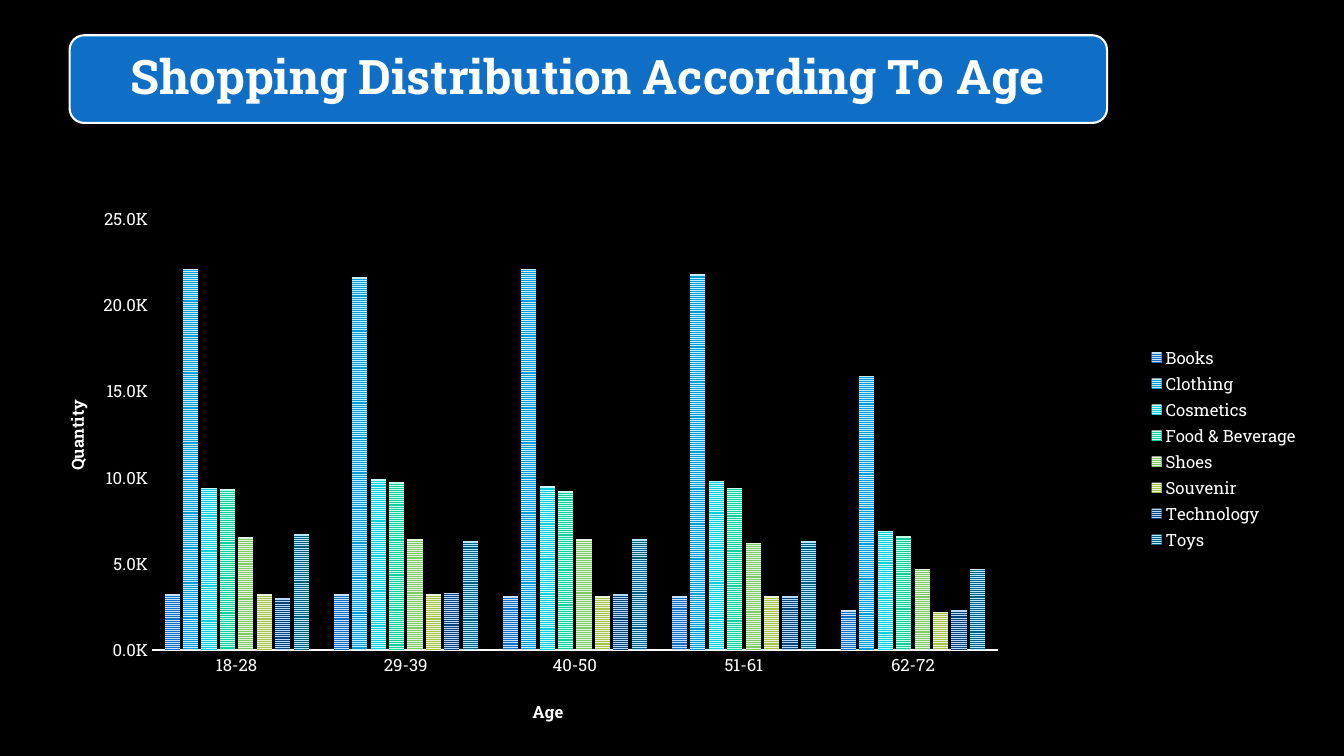
"""Build a slide with a clustered column chart of shopping quantity by age group."""
from lxml.etree import SubElement
from pptx import Presentation
from pptx.chart.data import CategoryChartData
from pptx.dml.color import RGBColor
from pptx.enum.chart import XL_CHART_TYPE as ChartType, XL_LEGEND_POSITION as LegendPosition
from pptx.enum.chart import XL_TICK_MARK as TickMark
from pptx.enum.dml import MSO_PATTERN as Pattern
from pptx.enum.shapes import MSO_SHAPE as Shape
from pptx.enum.text import MSO_ANCHOR as Anchor, MSO_AUTO_SIZE as AutoSize, PP_ALIGN as Align
from pptx.oxml import parse_xml
from pptx.oxml.ns import qn
from pptx.util import Inches, Pt

FONT = "Roboto Slab"
BLACK = RGBColor(0x00, 0x00, 0x00)
WHITE = RGBColor(0xFF, 0xFF, 0xFF)
BLUE = RGBColor(0x0F, 0x6F, 0xC6)
AGES = ["18-28", "29-39", "40-50", "51-61", "62-72"]
PRODUCTS = [
    ("Books", [3200, 3200, 3100, 3100, 2300], BLUE, RGBColor(0xC8, 0xE3, 0xFB)),
    ("Clothing", [22100, 21600, 22100, 21800, 15900],
     RGBColor(0x00, 0x9D, 0xD9), RGBColor(0xC4, 0xEF, 0xFF)),
    ("Cosmetics", [9400, 9900, 9500, 9800, 6900],
     RGBColor(0x0B, 0xD0, 0xD9), RGBColor(0xC9, 0xFA, 0xFC)),
    ("Food & Beverage", [9300, 9700, 9200, 9400, 6600],
     RGBColor(0x10, 0xCF, 0x9B), RGBColor(0xCA, 0xFB, 0xED)),
    ("Shoes", [6500, 6400, 6400, 6200, 4700],
     RGBColor(0x7C, 0xCA, 0x62), RGBColor(0xE5, 0xF4, 0xE0)),
    ("Souvenir", [3200, 3200, 3100, 3100, 2200],
     RGBColor(0xA5, 0xC2, 0x49), RGBColor(0xED, 0xF3, 0xDB)),
    ("Technology", [3000, 3300, 3200, 3100, 2300],
     RGBColor(0x09, 0x43, 0x77), RGBColor(0xB8, 0xDA, 0xFA)),
    ("Toys", [6700, 6300, 6400, 6300, 4700],
     RGBColor(0x00, 0x5E, 0x82), RGBColor(0xB3, 0xEA, 0xFF)),
]


def style_font(font, size, bold=False):
    font.name = FONT
    font.size = Pt(size)
    font.bold = bold
    font.color.rgb = WHITE


def set_layout(parent, index, **values):
    for old in parent.findall(qn("c:layout")):
        parent.remove(old)
    layout = parse_xml(
        '<c:layout xmlns:c="http://schemas.openxmlformats.org/drawingml/2006/chart"/>')
    manual = SubElement(layout, qn("c:manualLayout"))
    for tag, value in values.items():
        SubElement(manual, qn(f"c:{tag}")).set("val", str(value))
    parent.insert(index, layout)


deck = Presentation()
deck.slide_width = Inches(13.33)
deck.slide_height = Inches(7.5)
page = deck.slides.add_slide(deck.slide_layouts[5])
page.background.fill.solid()
page.background.fill.fore_color.rgb = BLACK

banner = page.shapes.add_shape(
    Shape.ROUNDED_RECTANGLE, Inches(0.69), Inches(0.35), Inches(10.29), Inches(0.87))
banner.shadow.inherit = False
banner.fill.solid()
banner.fill.fore_color.rgb = BLUE
banner.line.color.rgb = WHITE
banner.line.width = Pt(1.5)

title = page.shapes.title
title.element.addprevious(banner.element)
title.left, title.top = Inches(0.73), Inches(0.39)
title.width, title.height = Inches(10.2), Inches(0.79)
frame = title.text_frame
frame.word_wrap = True
frame.auto_size = AutoSize.NONE
frame.vertical_anchor = Anchor.MIDDLE
frame.margin_left = frame.margin_right = Inches(0.14)
frame.margin_top = frame.margin_bottom = Inches(0.14)
para = frame.paragraphs[0]
para.alignment = Align.CENTER
para.line_spacing = 0.9
span = para.add_run()
span.text = "Shopping Distribution According To Age"
style_font(span.font, 34, bold=True)

data = CategoryChartData(number_format="General")
data.categories = AGES
for name, quantities, stripe, ground in PRODUCTS:
    data.add_series(name, quantities)
chart = page.shapes.add_chart(
    ChartType.COLUMN_CLUSTERED, Inches(0.09), Inches(1.6), Inches(12.9), Inches(5.7), data).chart
chart.has_title = False
style_font(chart.font, 10)
chart.has_legend = True
chart.legend.position = LegendPosition.RIGHT
chart.legend.include_in_layout = False
style_font(chart.legend.font, 12)

plot = chart.plots[0]
plot.gap_width = 164
plot.overlap = -22
plot.vary_by_categories = False
for series, (name, quantities, stripe, ground) in zip(plot.series, PRODUCTS):
    fill = series.format.fill
    fill.patterned()
    fill.pattern = Pattern.NARROW_HORIZONTAL
    fill.fore_color.rgb = stripe
    fill.back_color.rgb = ground
    series.format.line.fill.background()

ages, quantity = chart.category_axis, chart.value_axis
for axis, caption in ((ages, "Age"), (quantity, "Quantity")):
    axis.has_major_gridlines = False
    axis.major_tick_mark = axis.minor_tick_mark = TickMark.NONE
    style_font(axis.tick_labels.font, 12)
    span = axis.axis_title.text_frame.paragraphs[0].add_run()
    span.text = caption
    style_font(span.font, 12, bold=True)
ages.format.line.color.rgb = WHITE
ages.format.line.width = Pt(1.5)
quantity.format.line.fill.background()
quantity.minimum_scale, quantity.maximum_scale, quantity.major_unit = 0, 25000, 5000
quantity.tick_labels.number_format = "#,##0.0,\\K"
quantity.tick_labels.number_format_is_linked = False

age_title = ages.axis_title.element
quantity_title = quantity.axis_title.element
plot_area = age_title.getparent().getparent()
quantity_title.xpath(".//a:bodyPr")[0].set("rot", "-5400000")
set_layout(plot_area, 0, layoutTarget="inner",
           xMode="edge", yMode="edge", x=0.11, y=0.1, w=0.65, h=0.75)
set_layout(age_title, 1, xMode="edge", yMode="edge", x=0.4, y=0.93)
set_layout(quantity_title, 1, xMode="edge", yMode="edge", x=0.04, y=0.41)

deck.save("out.pptx")
